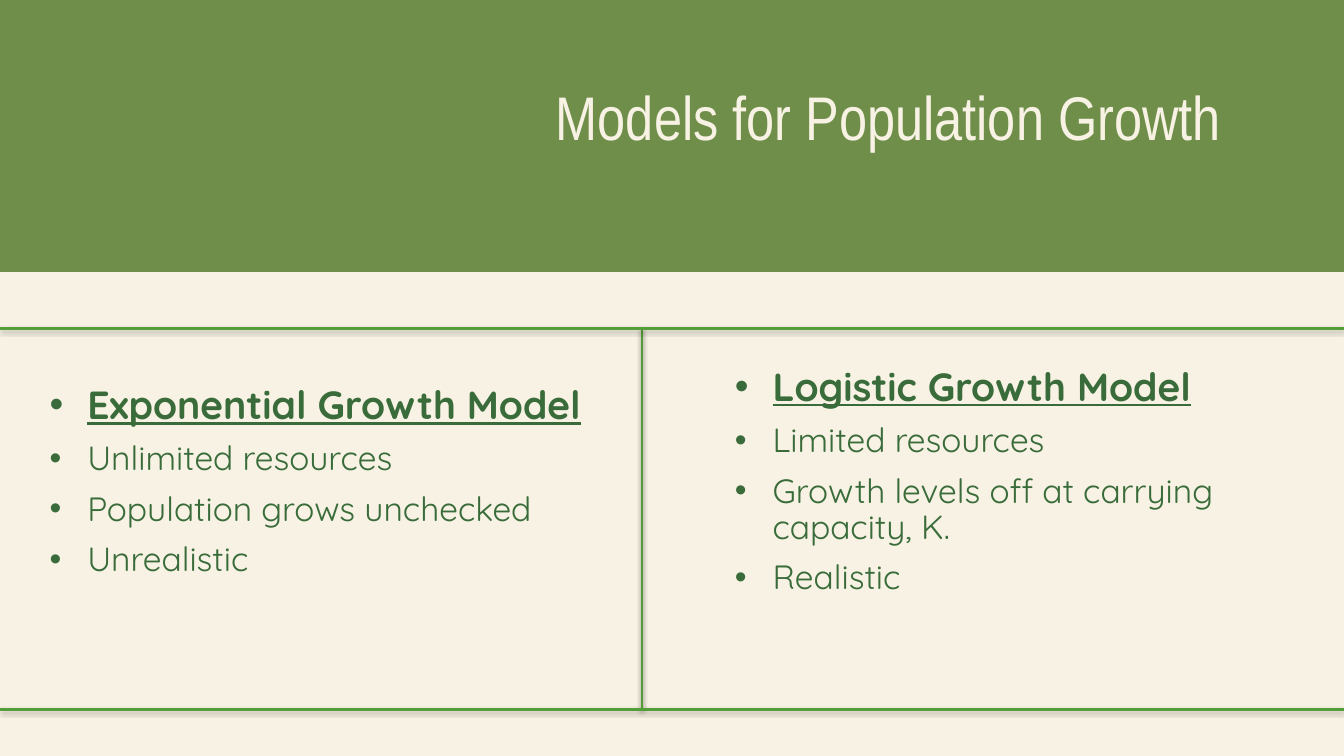
from dataclasses import dataclass

from lxml import etree
from pptx import Presentation
from pptx.dml.color import RGBColor
from pptx.enum.shapes import MSO_CONNECTOR, MSO_SHAPE
from pptx.enum.text import MSO_ANCHOR, PP_ALIGN
from pptx.oxml.ns import qn
from pptx.util import Cm, Pt

STRAIGHT = MSO_CONNECTOR.STRAIGHT
RECTANGLE = MSO_SHAPE.RECTANGLE
MIDDLE = MSO_ANCHOR.MIDDLE
LEFT, RIGHT = PP_ALIGN.LEFT, PP_ALIGN.RIGHT


@dataclass(frozen=True)
class Theme:
    olive: RGBColor = RGBColor(0x6F, 0x8E, 0x4A)
    cream: RGBColor = RGBColor(0xF7, 0xF2, 0xE3)
    forest: RGBColor = RGBColor(0x39, 0x6C, 0x3A)
    rule: RGBColor = RGBColor(0x54, 0x9E, 0x39)
    title_font: str = "Arial Narrow"
    body_font: str = "Quicksand"
    title_size: Pt = Pt(44)
    heading_size: Pt = Pt(28)
    point_size: Pt = Pt(24)
    rule_width: Pt = Pt(2)


THEME = Theme()

# Layout in centimetres
SLIDE_WIDTH, SLIDE_HEIGHT = 33.87, 19.05
PANEL_TOP = 6.86
RULE_TOP, RULE_BOTTOM = 8.28, 17.88
DIVIDER_X = 16.18
COLUMN_TOP, COLUMN_HEIGHT = 7.49, 9.32
INDENT, HANGING = 1.59, 0.95

# Left edge, width, heading, points
MODELS = [
    (0.36, 14.71, "Exponential Growth Model",
     ["Unlimited resources", "Population grows unchecked", "Unrealistic"]),
    (17.63, 16.23, "Logistic Growth Model",
     ["Limited resources", "Growth levels off at carrying capacity, K.", "Realistic"]),
]


def add_panel(slide):
    panel = slide.shapes.add_shape(
        RECTANGLE, 0, Cm(PANEL_TOP), Cm(SLIDE_WIDTH), Cm(SLIDE_HEIGHT - PANEL_TOP))
    panel.shadow.inherit = False
    panel.fill.solid()
    panel.fill.fore_color.rgb = THEME.cream
    panel.line.fill.background()


def add_text_frame(slide, left, top, width, height):
    frame = slide.shapes.add_textbox(Cm(left), Cm(top), Cm(width), Cm(height)).text_frame
    frame.word_wrap = True
    frame.vertical_anchor = MIDDLE
    return frame


def write_paragraph(paragraph, text, font, size, color, align=LEFT):
    paragraph.text = text
    paragraph.alignment = align
    paragraph.line_spacing = 0.9
    paragraph.space_before = Pt(10)
    paragraph.font.name = font
    paragraph.font.size = size
    paragraph.font.color.rgb = color


def add_bullet(paragraph):
    properties = paragraph._p.get_or_add_pPr()
    properties.set("marL", str(Cm(INDENT)))
    properties.set("indent", str(-Cm(HANGING)))
    bullet_font = etree.Element(qn("a:buFont"), typeface="Arial")
    bullet = etree.Element(qn("a:buChar"), char="•")
    # Bullet elements stand before the default run properties
    run_defaults = properties.find(qn("a:defRPr"))
    run_defaults.addprevious(bullet_font)
    run_defaults.addprevious(bullet)


def add_title(slide, text):
    frame = add_text_frame(slide, 10.54, 1.98, 20.5, 2.11)
    write_paragraph(frame.paragraphs[0], text, THEME.title_font,
                    THEME.title_size, THEME.cream, RIGHT)


def add_model(slide, left, width, heading, points):
    frame = add_text_frame(slide, left, COLUMN_TOP, width, COLUMN_HEIGHT)
    for index, text in enumerate([heading, *points]):
        is_heading = index == 0
        paragraph = frame.paragraphs[0] if is_heading else frame.add_paragraph()
        size = THEME.heading_size if is_heading else THEME.point_size
        write_paragraph(paragraph, text, THEME.body_font, size, THEME.forest)
        paragraph.font.bold = is_heading
        paragraph.font.underline = is_heading
        add_bullet(paragraph)


def add_rule(slide, x1, y1, x2, y2):
    rule = slide.shapes.add_connector(STRAIGHT, Cm(x1), Cm(y1), Cm(x2), Cm(y2))
    rule.line.color.rgb = THEME.rule
    rule.line.width = THEME.rule_width
    # Soft shadow straight below the rule
    effects = etree.SubElement(rule._element.spPr, qn("a:effectLst"))
    shadow = etree.SubElement(effects, qn("a:outerShdw"), blurRad="40000",
                              dist="20000", dir="5400000", rotWithShape="0")
    black = etree.SubElement(shadow, qn("a:srgbClr"), val="000000")
    etree.SubElement(black, qn("a:alpha"), val="38000")


def main():
    presentation = Presentation()
    presentation.slide_width = Cm(SLIDE_WIDTH)
    presentation.slide_height = Cm(SLIDE_HEIGHT)
    slide = presentation.slides.add_slide(presentation.slide_layouts[6])

    # Background and lower panel
    slide.background.fill.solid()
    slide.background.fill.fore_color.rgb = THEME.olive
    add_panel(slide)

    # Title and the two models
    add_title(slide, "Models for Population Growth")
    for model in MODELS:
        add_model(slide, *model)

    # Divider and horizontal rules
    add_rule(slide, DIVIDER_X, RULE_TOP, DIVIDER_X, RULE_BOTTOM)
    for y in (RULE_TOP, RULE_BOTTOM):
        add_rule(slide, 0, y, SLIDE_WIDTH, y)

    presentation.save("out.pptx")


if __name__ == "__main__":
    main()
